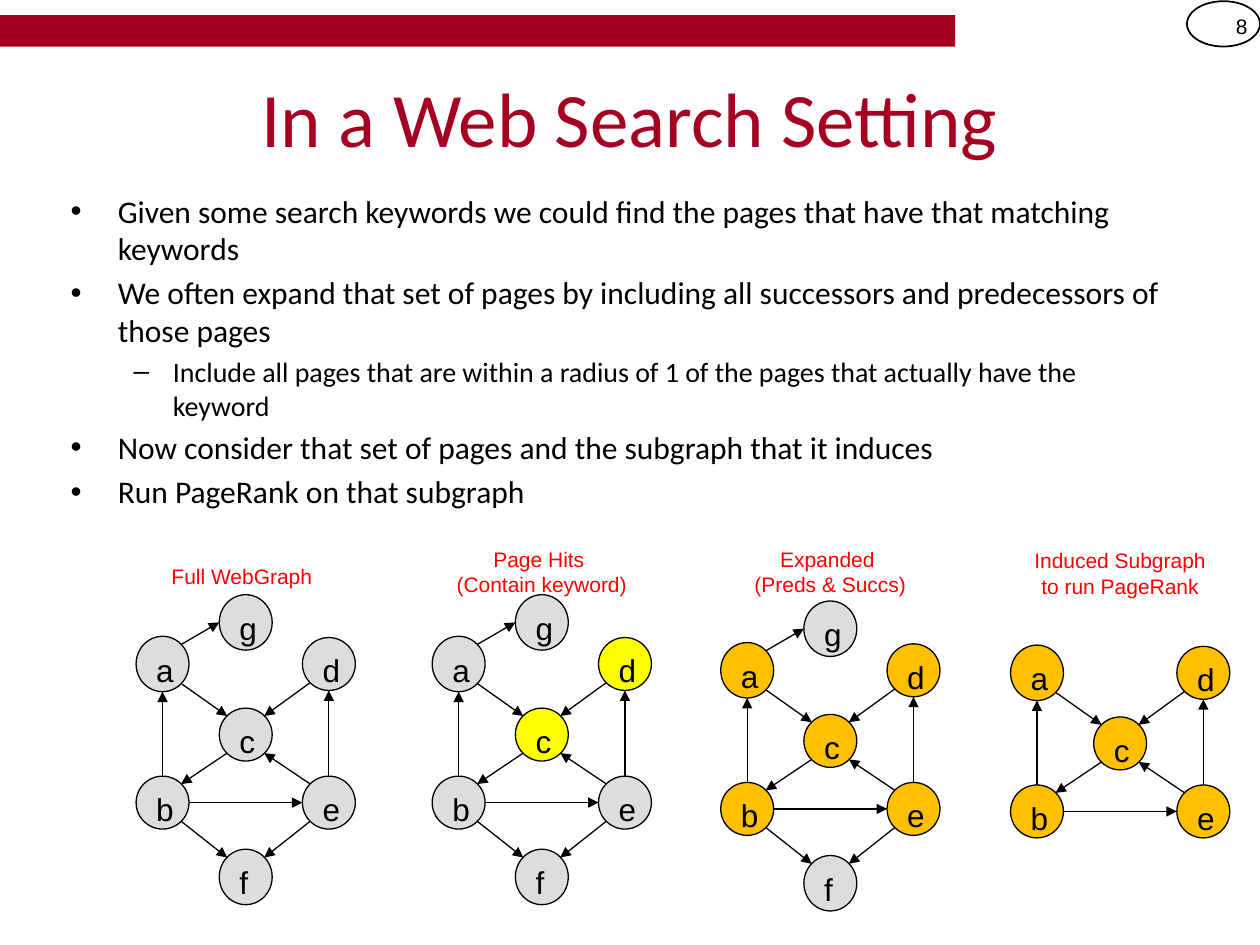
from dataclasses import dataclass

from lxml.etree import SubElement
from pptx import Presentation
from pptx.dml.color import RGBColor
from pptx.enum.shapes import MSO_CONNECTOR, MSO_SHAPE
from pptx.enum.text import MSO_ANCHOR, MSO_AUTO_SIZE, PP_ALIGN
from pptx.oxml.ns import qn
from pptx.util import Inches, Pt

COLORS = {
    "crimson": "A50021", "black": "000000", "red": "FF0000",
    "plain": "DDDDDD", "hit": "FFFF00", "expanded": "FFC000",
}
COLUMN_STEP = 0.66
NODE_WIDTH = 0.42


@dataclass(frozen=True)
class Node:
    column: int
    top: float
    height: float = 0.42


@dataclass(frozen=True)
class Edge:
    source: str
    source_side: str
    target: str
    target_side: str


@dataclass(frozen=True)
class Graph:
    left: float
    top: float
    caption: str
    caption_box: tuple[float, float, float]
    nodes: str
    highlighted: str = ""
    highlight: str = "plain"


# Node positions are relative to the top left corner of a graph
NODES = {
    "a": Node(0, 0.33, 0.44), "b": Node(0, 1.44), "d": Node(2, 0.34),
    "c": Node(1, 0.9), "e": Node(2, 1.44),
    "f": Node(1, 2.02, 0.44), "g": Node(1, 0, 0.44),
}

# Points on a node's outline, as shares of its width and height
SIDES = {
    "top": (0.5, 0), "bottom": (0.5, 1), "left": (0, 0.5), "right": (1, 0.5),
    "top left": (0.15, 0.15), "top right": (0.85, 0.15),
    "bottom left": (0.15, 0.85), "bottom right": (0.85, 0.85),
}

EDGES = [
    Edge("a", "bottom right", "c", "top left"),
    Edge("b", "top", "a", "bottom"),
    Edge("e", "top", "d", "bottom"),
    Edge("e", "top left", "c", "bottom right"),
    Edge("d", "bottom left", "c", "top right"),
    Edge("b", "right", "e", "left"),
    Edge("c", "bottom left", "b", "top right"),
    Edge("b", "bottom right", "f", "top left"),
    Edge("e", "bottom left", "f", "top right"),
    Edge("a", "top right", "g", "left"),
]

GRAPHS = [
    Graph(1.08, 4.72, "Full WebGraph", (1.17, 4.42, 1.5), "abdcefg"),
    Graph(3.43, 4.72, "Page Hits \v(Contain keyword)", (3.43, 4.29, 1.74),
          "abdcefg", "cd", "hit"),
    Graph(5.72, 4.77, "Expanded \v(Preds & Succs)", (5.72, 4.29, 1.74),
          "abdcefg", "abcde", "expanded"),
    Graph(8.02, 4.79, "Induced Subgraph to run PageRank", (8.02, 4.3, 1.74),
          "abdce", "abcde", "expanded"),
]

BULLETS = [
    (0, "Given some search keywords we could find the pages that have that matching keywords"),
    (0, "We often expand that set of pages by including all successors and predecessors of those pages"),
    (1, "Include all pages that are within a radius of 1 of the pages that actually have the keyword"),
    (0, "Now consider that set of pages and the subgraph that it induces"),
    (0, "Run PageRank on that subgraph"),
]


def rgb(name: str) -> RGBColor:
    return RGBColor.from_string(COLORS[name])


def format_paragraph(paragraph, size: float, font: str, color: str, **formats) -> None:
    for name, value in formats.items():
        setattr(paragraph, name, value)
    for name, value in {"size": Pt(size), "name": font}.items():
        setattr(paragraph.font, name, value)
    paragraph.font.color.rgb = rgb(color)


def place(shape, left: float, top: float, width: float, height: float) -> None:
    box = {"left": left, "top": top, "width": width, "height": height}
    for name, value in box.items():
        setattr(shape, name, Inches(value))


def add_preset(slide, preset, box, fill=None, line_width=None):
    shape = slide.shapes.add_shape(preset, *map(Inches, box))
    shape.shadow.inherit = False
    if fill:
        shape.fill.solid()
        shape.fill.fore_color.rgb = rgb(fill)
    else:
        shape.fill.background()
    if line_width:
        shape.line.color.rgb = rgb("black")
        shape.line.width = Pt(line_width)
    else:
        shape.line.fill.background()
    return shape


def add_label(slide, text: str, box, color: str, alignment, anchor) -> None:
    label = slide.shapes.add_textbox(*map(Inches, box))
    frame = label.text_frame
    frame.word_wrap = True
    frame.vertical_anchor = anchor
    frame.text = text
    format_paragraph(frame.paragraphs[0], 12, "Arial", color, alignment=alignment)


def outline_point(graph: Graph, name: str, side: str) -> tuple[float, float]:
    node = NODES[name]
    across, down = SIDES[side]
    return (graph.left + node.column * COLUMN_STEP + across * NODE_WIDTH,
            graph.top + node.top + down * node.height)


def add_node(slide, graph: Graph, name: str) -> None:
    node = NODES[name]
    box = (graph.left + node.column * COLUMN_STEP, graph.top + node.top,
           NODE_WIDTH, node.height)
    fill = graph.highlight if name in graph.highlighted else "plain"
    frame = add_preset(slide, MSO_SHAPE.OVAL, box, fill, 0.75).text_frame
    frame.word_wrap = False
    frame.vertical_anchor = MSO_ANCHOR.TOP
    frame.text = name
    format_paragraph(frame.paragraphs[0], 18, "Arial", "black", alignment=PP_ALIGN.LEFT)


def add_edge(slide, graph: Graph, edge: Edge) -> None:
    start = outline_point(graph, edge.source, edge.source_side)
    end = outline_point(graph, edge.target, edge.target_side)
    connector = slide.shapes.add_connector(
        MSO_CONNECTOR.STRAIGHT, *map(Inches, start + end))
    connector.line.color.rgb = rgb("black")
    connector.line.width = Pt(0.75)
    properties = connector._element.spPr
    SubElement(properties.find(qn("a:ln")), qn("a:tailEnd"), type="triangle")
    SubElement(properties, qn("a:effectLst"))


def add_graph(slide, graph: Graph) -> None:
    for name in graph.nodes:
        add_node(slide, graph, name)
    for edge in EDGES:
        if edge.source in graph.nodes and edge.target in graph.nodes:
            add_edge(slide, graph, edge)
    add_label(slide, graph.caption, (*graph.caption_box, 0.25), "red",
              PP_ALIGN.CENTER, MSO_ANCHOR.TOP)


def main() -> None:
    presentation = Presentation()
    presentation.slide_width, presentation.slide_height = Inches(10), Inches(7.5)
    slide = presentation.slides.add_slide(presentation.slide_layouts[1])

    # Header bar and slide number
    add_preset(slide, MSO_SHAPE.RECTANGLE, (0, 0.12, 7.58, 0.25), "crimson")
    add_preset(slide, MSO_SHAPE.OVAL, (9.42, 0.01, 0.58, 0.36), line_width=1)
    add_label(slide, "8", (9.42, 0.01, 0.58, 0.4), "black",
              PP_ALIGN.RIGHT, MSO_ANCHOR.MIDDLE)

    # Title and bullet list
    title, body = slide.placeholders
    place(title, 0.5, 0.3, 9, 1.25)
    title.text_frame.text = "In a Web Search Setting"
    format_paragraph(title.text_frame.paragraphs[0], 44, "Calibri", "crimson",
                     alignment=PP_ALIGN.CENTER)
    place(body, 0.46, 1.47, 9, 4.95)
    frame = body.text_frame
    frame.auto_size = MSO_AUTO_SIZE.NONE
    for index, (level, text) in enumerate(BULLETS):
        paragraph = frame.add_paragraph() if index else frame.paragraphs[0]
        paragraph.text = text
        size = 16 if level else 18
        format_paragraph(paragraph, size, "Calibri", "black", level=level,
                         space_before=Pt(0.2 * size if index else 0))

    # Web graphs
    for graph in GRAPHS:
        add_graph(slide, graph)

    presentation.save("out.pptx")


if __name__ == "__main__":
    main()
